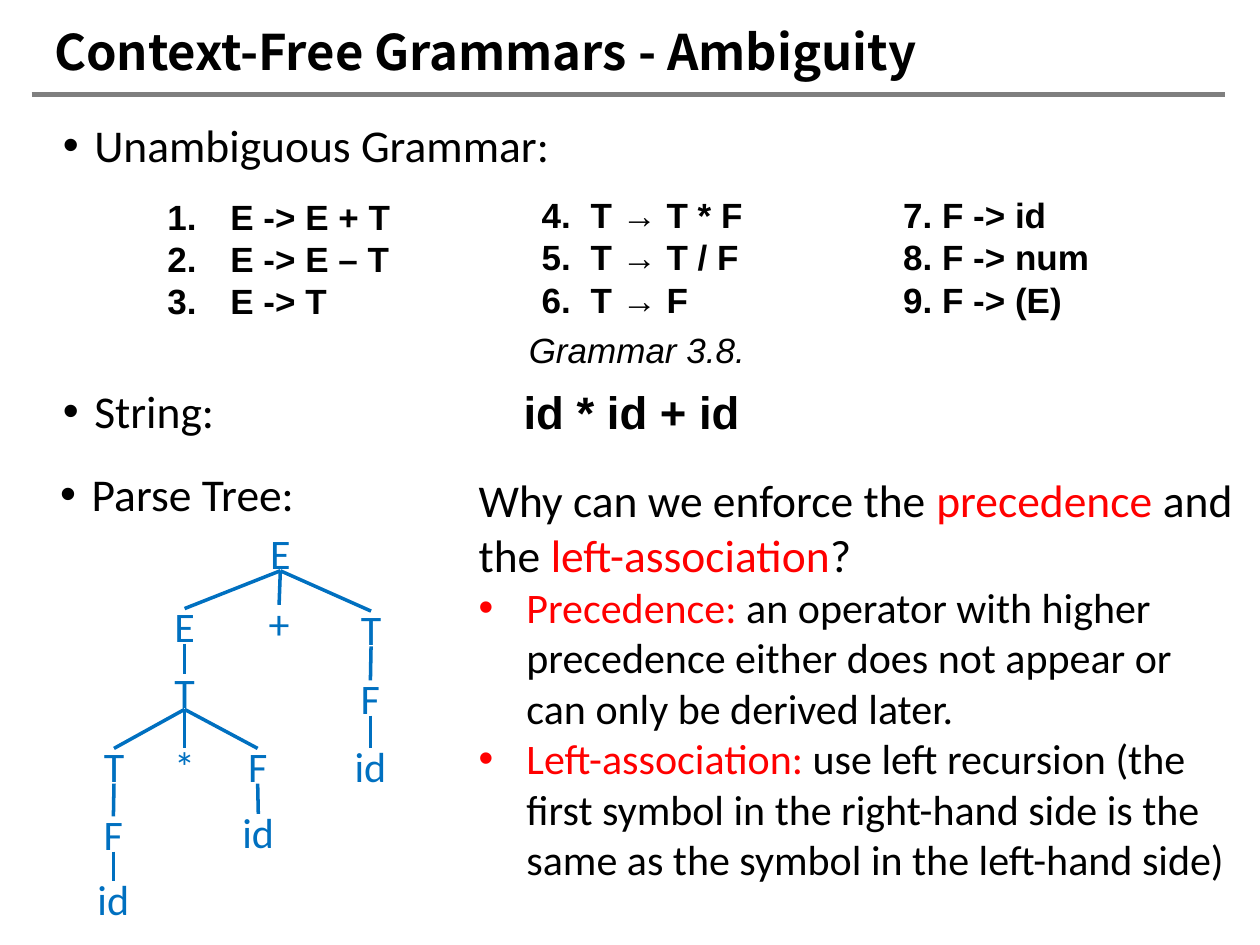
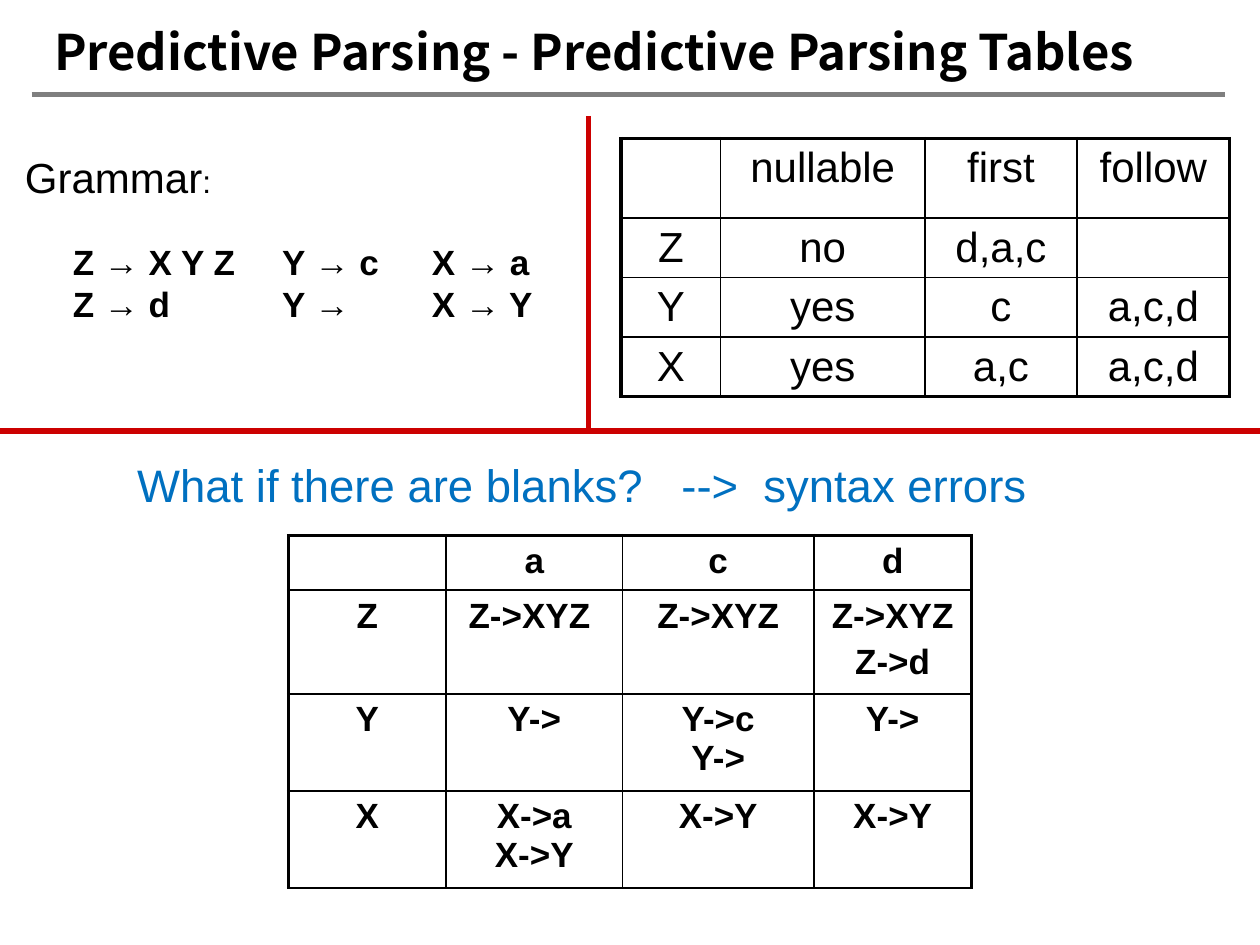
from itertools import product

from lxml.etree import SubElement
from pptx import Presentation
from pptx.dml.color import RGBColor
from pptx.enum.shapes import MSO_CONNECTOR, MSO_SHAPE
from pptx.enum.text import MSO_ANCHOR, MSO_AUTO_SIZE, PP_ALIGN
from pptx.oxml.ns import qn
from pptx.util import Emu, Pt

PX = 9144
BLACK, GRAY, RED, BLUE, CRIMSON = "000000", "7F7F7F", "FF0000", "0070C0", "CC0000"
TITLE_FONT, BODY, SANS = "Noto Sans CJK SC", "Calibri", "Arial"
LEFT, CENTER = PP_ALIGN.LEFT, PP_ALIGN.CENTER


def px(n):
    return Emu(n * PX)


def rgb(color):
    return RGBColor.from_string(color)


def add_run(p, text, size, font, color=BLACK, bold=False, italic=False):
    r = p.add_run()
    r.text = text
    f = r.font
    f.size, f.name, f.bold, f.italic = Pt(size), font, bold, italic
    f.color.rgb = rgb(color)


def set_bullet(p, indent, bullet):
    pPr = p._p.get_or_add_pPr()
    pPr.set("marL", str(px(indent)))
    pPr.set("indent", str(px(-indent)))
    if bullet == "1.":
        SubElement(pPr, qn("a:buFont"), typeface="+mj-lt")
        SubElement(pPr, qn("a:buAutoNum"), type="arabicPeriod")
    else:
        SubElement(pPr, qn("a:buFont"), typeface="Arial")
        SubElement(pPr, qn("a:buChar"), char=bullet)


def set_tab(p, pos):
    tabs = SubElement(p._p.get_or_add_pPr(), qn("a:tabLst"))
    SubElement(tabs, qn("a:tab"), pos=str(px(pos)), algn="l")


def add_box(s, left, top, width, height):
    tf = s.shapes.add_textbox(px(left), px(top), px(width), px(height)).text_frame
    tf.word_wrap = True
    return tf


def next_paragraph(tf):
    first = tf.paragraphs[0]
    return tf.add_paragraph() if first.runs else first


def add_lines(s, left, top, width, height, lines, size, align=LEFT,
              bullet=None, indent=0, tab=None, **style):
    tf = add_box(s, left, top, width, height)
    for line in lines:
        p = next_paragraph(tf)
        if bullet:
            set_bullet(p, indent, bullet)
        if tab:
            set_tab(p, tab)
        p.alignment = align
        add_run(p, line, size, SANS, **style)


def add_heading(s, left, top, text):
    p = add_box(s, left, top, 924, 53).paragraphs[0]
    set_bullet(p, 25, "•")
    p.line_spacing = 0.9
    add_run(p, text, 26, BODY)


def add_line(shapes, x1, y1, x2, y2, color, weight):
    line = shapes.add_connector(MSO_CONNECTOR.STRAIGHT, px(x1), px(y1), px(x2), px(y2))
    line.line.color.rgb = rgb(color)
    line.line.width = Pt(weight)
    SubElement(line._element.spPr, qn("a:effectLst"))
    return line


def add_slide(prs, title):
    s = prs.slides.add_slide(prs.slide_layouts[5])
    add_line(s.shapes, 25, 75, 972, 75, GRAY, 3)
    sp = s.shapes.title
    sp.left, sp.top, sp.width, sp.height = px(43), px(17), px(919), px(47)
    tf = sp.text_frame
    tf.margin_left = tf.margin_top = tf.margin_right = tf.margin_bottom = 0
    tf.vertical_anchor = MSO_ANCHOR.TOP
    tf.auto_size = MSO_AUTO_SIZE.NONE
    p = tf.paragraphs[0]
    p.alignment = LEFT
    add_run(p, title, 28, TITLE_FONT, bold=True)
    return s


def add_node(shapes, label, left, top, width):
    sp = shapes.add_shape(MSO_SHAPE.ROUNDED_RECTANGLE, px(left), px(top), px(width), px(28))
    sp.shadow.inherit = False
    sp.fill.background()
    sp.line.fill.background()
    tf = sp.text_frame
    tf.margin_left = tf.margin_right = 0
    tf.vertical_anchor = MSO_ANCHOR.MIDDLE
    p = tf.paragraphs[0]
    p.alignment = CENTER
    add_run(p, label, 24, BODY, BLUE)
    return sp


def add_tree(shapes, tree, parent=None):
    label, left, top, width, children = tree
    node = add_node(shapes, label, left, top, width)
    if parent is not None:
        edge = add_line(shapes, 0, 0, 0, 0, BLUE, 2)
        edge.begin_connect(parent, 2)
        edge.end_connect(node, 0)
    for child in children:
        add_tree(shapes, child, node)


def set_border(cell, side, weight):
    tcPr = cell._tc.get_or_add_tcPr()
    ln = SubElement(tcPr, qn(f"a:ln{side}"), w=str(Pt(weight)))
    fill = SubElement(ln, qn("a:solidFill"))
    SubElement(fill, qn("a:srgbClr"), val=BLACK)


def fill_cell(cell, text, size, bold):
    for line in text.split("\n"):
        p = next_paragraph(cell.text_frame)
        p.alignment = CENTER
        if p._p.getprevious().tag == qn("a:p"):
            p.space_before = Pt(size * 0.2)
        for i, part in enumerate(line.split("\v")):
            if i:
                p.add_line_break()
            if part:
                add_run(p, part, size, SANS, bold=bold)


def add_grid(s, left, top, cols, rows, cells, size, bold=False, bottom=2.25):
    frame = s.shapes.add_table(len(rows), len(cols), px(left), px(top),
                               px(sum(cols)), px(sum(rows)))
    table = frame.table
    table.first_row = table.horz_banding = False
    for col, width in zip(table.columns, cols):
        col.width = px(width)
    for row, height in zip(table.rows, rows):
        row.height = px(height)
    last_row, last_col = len(rows) - 1, len(cols) - 1
    for i, j in product(range(len(rows)), range(len(cols))):
        cell = table.cell(i, j)
        set_border(cell, "L", 1 if j else 2.25)
        set_border(cell, "R", 2.25 if j == last_col else 1)
        set_border(cell, "T", 1 if i else 2.25)
        set_border(cell, "B", bottom if i == last_row else 1)
        cell.fill.background()
        fill_cell(cell, cells[i][j], size, bold)


def add_explanation(s):
    tf = add_box(s, 370, 370, 619, 340)
    p = next_paragraph(tf)
    for text, color in [("Why can we enforce the ", BLACK), ("precedence ", RED),
                        ("and the ", BLACK), ("left-association", RED), ("?", BLACK)]:
        add_run(p, text, 26, BODY, color)
    for term, meaning in [
        ("Precedence: ", "an operator with higher precedence either does not appear "
                         "or can only be derived later."),
        ("Left-association: ", "use left recursion (the first symbol in the right-hand side "
                               "is the same as the symbol in the left-hand side)"),
    ]:
        p = next_paragraph(tf)
        set_bullet(p, 38, "•")
        add_run(p, term, 24, BODY, RED)
        add_run(p, meaning, 24, BODY)


def build_ambiguity(prs):
    s = add_slide(prs, "Context-Free Grammars - Ambiguity")
    add_heading(s, 40, 93, "Unambiguous Grammar:")
    add_heading(s, 40, 304, "String:")
    add_heading(s, 38, 370, "Parse Tree:")
    add_explanation(s)
    product_tree = ("T", 129, 535, 35, [
        ("T", 73, 594, 35, [("F", 63, 648, 54, [("id", 63, 699, 54, [])])]),
        ("*", 129, 594, 35, []),
        ("F", 187, 594, 35, [("id", 178, 646, 54, [])]),
    ])
    sum_tree = ("E", 205, 425, 35, [
        ("E", 129, 483, 35, [product_tree]),
        ("+", 204, 480, 35, []),
        ("T", 277, 485, 35, [("F", 267, 540, 54, [("id", 267, 594, 54, [])])]),
    ])
    add_tree(s.shapes.add_group_shape().shapes, sum_tree)
    add_lines(s, 241, 300, 521, 54, ["id * id + id"], 26, CENTER, bold=True)
    add_lines(s, 123, 150, 205, 111, ["E -> E + T", "E -> E – T", "E -> T"], 20,
              bullet="1.", indent=50, bold=True)
    add_lines(s, 420, 149, 187, 111, ["4.\tT → T * F", "5.\tT → T / F", "6.\tT → F"], 20,
              tab=39, bold=True)
    add_lines(s, 707, 149, 176, 111, ["7. F -> id", "8. F -> num", "9. F -> (E)"], 20,
              bold=True)
    add_lines(s, 213, 256, 585, 44, ["Grammar 3.8."], 20, CENTER, italic=True)


def build_parsing_tables(prs):
    s = add_slide(prs, "Predictive Parsing - Predictive Parsing Tables")
    add_line(s.shapes, 0, 342, 1000, 342, CRIMSON, 3)
    add_line(s.shapes, 467, 92, 467, 342, CRIMSON, 3)
    add_grid(s, 493, 110, [79, 162, 121, 121], [63, 47, 47, 47], [
        ["", "nullable", "first", "follow"],
        ["Z", "no", "d,a,c", ""],
        ["Y", "yes", "c", "a,c,d"],
        ["X", "yes", "a,c", "a,c,d"],
    ], 24)
    p = add_box(s, 10, 115, 174, 50).paragraphs[0]
    add_run(p, "Grammar", 24, SANS)
    add_run(p, ":", 18, SANS)
    for left, width, rules in [(48, 160, ["Z → X Y Z", "Z → d"]),
                               (214, 102, ["Y → c", "Y →"]),
                               (333, 112, ["X → a", "X → Y"])]:
        add_lines(s, left, 186, width, 77, rules, 20, bold=True)
    add_lines(s, 99, 358, 459, 54, ["What if there are blanks?"], 26, color=BLUE)
    add_grid(s, 229, 425, [125, 140, 152, 125], [43, 82, 77, 77], [
        ["", "a", "c", "d"],
        ["Z", "Z->XYZ ", "Z->XYZ", "Z->XYZ\nZ->d"],
        ["Y", "Y->", "Y->c\vY->", "Y->"],
        ["X", "X->a\vX->Y", "X->Y", "X->Y"],
    ], 20, bold=True, bottom=1)
    add_lines(s, 531, 358, 329, 54, ["-->\tsyntax errors"], 26, tab=65, color=BLUE)


def main():
    prs = Presentation()
    prs.slide_width, prs.slide_height = px(1000), px(750)
    build_ambiguity(prs)
    build_parsing_tables(prs)
    prs.save("out.pptx")


if __name__ == "__main__":
    main()
